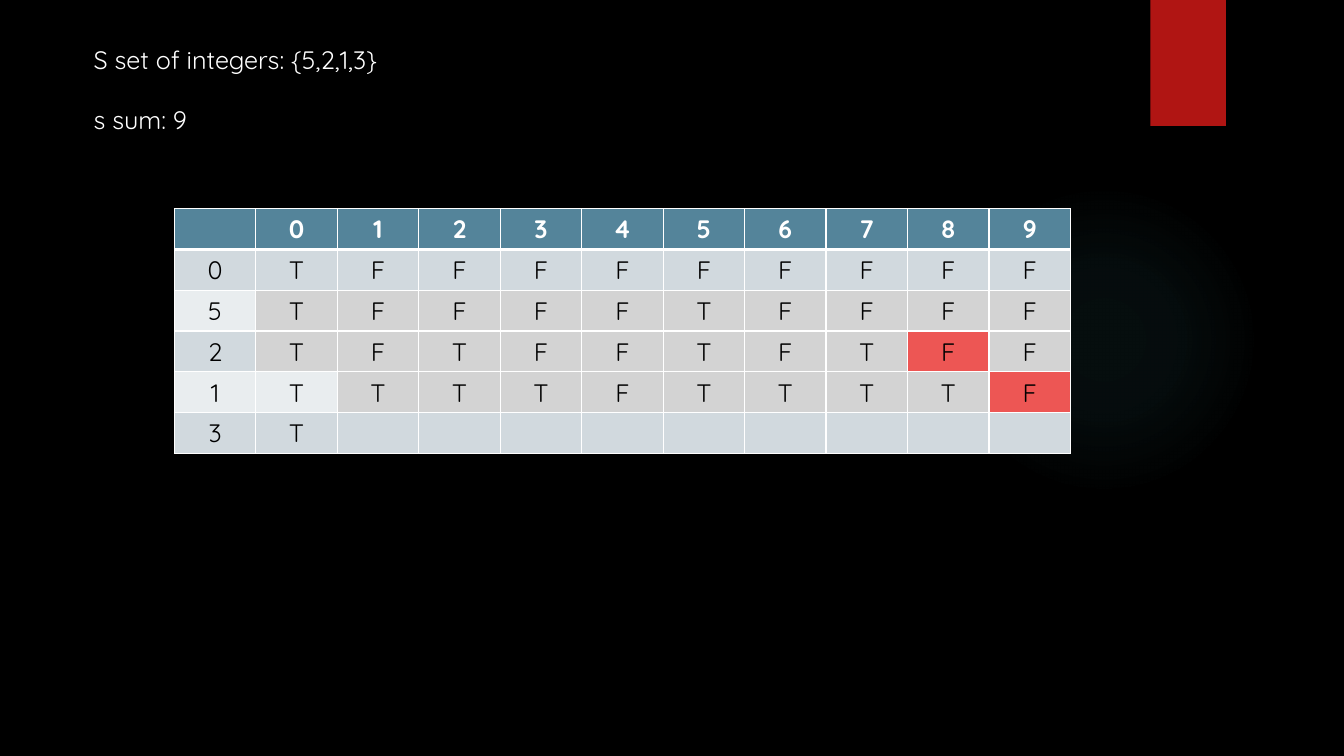
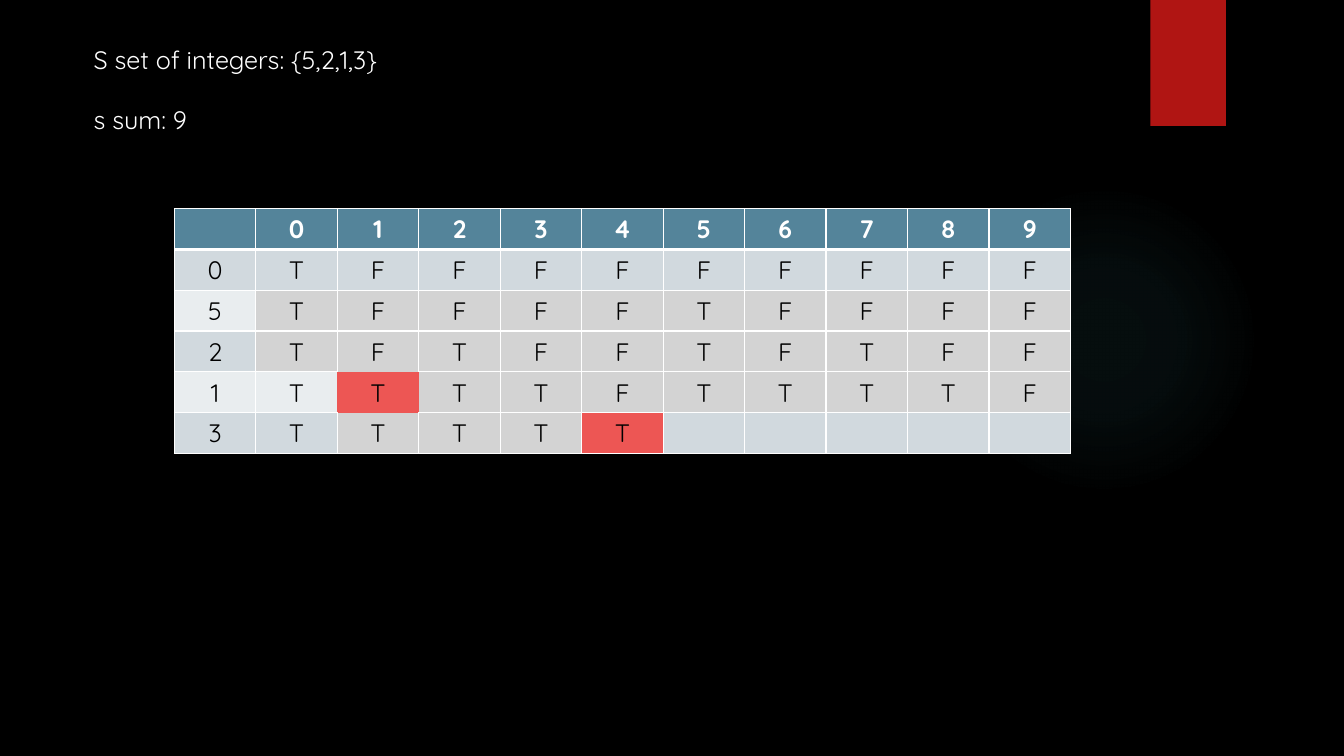
from lxml.etree import SubElement
from pptx import Presentation
from pptx.dml.color import RGBColor
from pptx.enum.shapes import MSO_SHAPE
from pptx.enum.text import MSO_AUTO_SIZE, PP_ALIGN
from pptx.oxml import parse_xml
from pptx.oxml.ns import nsdecls, qn
from pptx.util import Inches, Pt

BLACK, WHITE = "000000", "FFFFFF"
RIBBON, GLOW = "B01513", "50B9C1"
HEADER, BANDS = "54849A", ("E9EDEF", "D1D9DE")
DONE, ACTIVE = "D3D3D3", "ED5654"

PROBLEM = ["S set of integers: {5,2,1,3}", "s sum: 9"]
SUMS = "0123456789"
# One row per integer: its label and the answers for sums 0 to 9
SOLVED = [("0", "TFFFFFFFFF"), ("5", "TFFFFTFFFF"),
          ("2", "TFTFFTFTFF"), ("1", "TTTTFTTTTF")]
# First column shaded as computed, by table row
DONE_FROM = {2: 1, 3: 1, 4: 2, 5: 2}
# Each step: answers for integer 3, highlighted cells, highlighted cells without borders
STEPS = [("T", {(3, 9), (4, 10)}, set()),
         ("TTTTT", {(4, 2), (5, 5)}, {(4, 2)})]


def rgb(value):
    return RGBColor.from_string(value)


class Deck:
    font = {"name": "Quicksand", "size": Pt(18)}

    def __init__(self):
        self.prs = Presentation()
        self.prs.slide_width, self.prs.slide_height = Inches(13.33), Inches(7.5)
        backdrop = self.prs.slide_master.background.fill
        backdrop.solid()
        backdrop.fore_color.rgb = rgb(BLACK)
        self.slide = None

    def add_slide(self):
        self.slide = self.prs.slides.add_slide(self.prs.slide_layouts[6])
        self.glow()
        self.ribbon()

    def shape(self, kind, left, top, width, height):
        shape = self.slide.shapes.add_shape(
            kind, Inches(left), Inches(top), Inches(width), Inches(height))
        shape.shadow.inherit = False
        shape.line.fill.background()
        return shape

    def glow(self):
        """A faint circle that fades outwards."""
        halo = self.shape(MSO_SHAPE.OVAL, 9.41, 1.83, 3.08, 3.08)
        stops = "".join(
            f'<a:gs pos="{pos}000"><a:srgbClr val="{GLOW}">'
            f'<a:alpha val="{alpha}000"/></a:srgbClr></a:gs>'
            for pos, alpha in ((0, 7), (36, 6), (69, 0), (100, 0)))
        gradient = parse_xml(
            f'<a:gradFill {nsdecls("a")} rotWithShape="1"><a:gsLst>{stops}</a:gsLst>'
            '<a:path path="circle"><a:fillToRect l="50000" t="50000" r="50000" '
            'b="50000"/></a:path></a:gradFill>')
        halo.element.spPr.find(qn("a:prstGeom")).addnext(gradient)

    def ribbon(self):
        ribbon = self.shape(MSO_SHAPE.RECTANGLE, 11.41, 0, 0.75, 1.25)
        ribbon.fill.solid()
        ribbon.fill.fore_color.rgb = rgb(RIBBON)

    def add_text(self, paragraph, text, color, **extra):
        run = paragraph.add_run()
        run.text = text
        for name, value in {**self.font, **extra}.items():
            setattr(run.font, name, value)
        run.font.color.rgb = rgb(color)

    def problem(self, lines):
        frame = self.slide.shapes.add_textbox(
            Inches(0.83), Inches(0.39), Inches(3.19), Inches(1.01)).text_frame
        frame.word_wrap = False
        frame.auto_size = MSO_AUTO_SIZE.SHAPE_TO_FIT_TEXT
        for index, line in enumerate(lines):
            paragraph = frame.add_paragraph() if index else frame.paragraphs[0]
            if index:
                paragraph.space_before = Pt(21)
            self.add_text(paragraph, line, WHITE)

    def borders(self, cell, widths):
        """Draw white borders; a width of 0 leaves that side bare."""
        properties = cell._tc.get_or_add_tcPr()
        for side, width in widths.items():
            line = SubElement(properties, qn(f"a:ln{side}"), w=str(Pt(width)))
            if width:
                fill = SubElement(line, qn("a:solidFill"))
                SubElement(fill, qn("a:srgbClr"), val=WHITE)
            else:
                SubElement(line, qn("a:noFill"))

    def answers(self, rows, active, bare):
        table = self.slide.shapes.add_table(
            len(rows), len(rows[0]), Inches(1.73), Inches(2.07),
            Inches(8.89), Inches(2.43)).table
        for r, row in enumerate(rows):
            for c, text in enumerate(row):
                cell = table.cell(r, c)
                # Neighbouring cells share a border, so both must agree
                neighbours = {"L": (r, c - 1), "R": (r, c + 1),
                              "T": (r - 1, c), "B": (r + 1, c)}
                widths = {side: 0 if bare & {(r, c), other} else 1
                          for side, other in neighbours.items()}
                if r == 0:
                    widths["B"] = 3
                elif r == 1:
                    widths["T"] = 3
                self.borders(cell, widths)

                if r == 0:
                    color = HEADER
                elif (r, c) in active:
                    color = ACTIVE
                elif text and c >= DONE_FROM.get(r, len(row)):
                    color = DONE
                else:
                    color = BANDS[r % 2]
                cell.fill.solid()
                cell.fill.fore_color.rgb = rgb(color)

                if text:
                    paragraph = cell.text_frame.paragraphs[0]
                    paragraph.alignment = PP_ALIGN.CENTER
                    self.add_text(paragraph, text, BLACK if r else WHITE, bold=r == 0)


def main():
    deck = Deck()
    for last_answers, active, bare in STEPS:
        deck.add_slide()
        deck.problem(PROBLEM)
        rows = [["", *SUMS]]
        for label, answers in [*SOLVED, ("3", last_answers)]:
            blanks = [""] * (len(SUMS) - len(answers))
            rows.append([label, *answers, *blanks])
        deck.answers(rows, active, bare)
    deck.prs.save("out.pptx")


if __name__ == "__main__":
    main()
